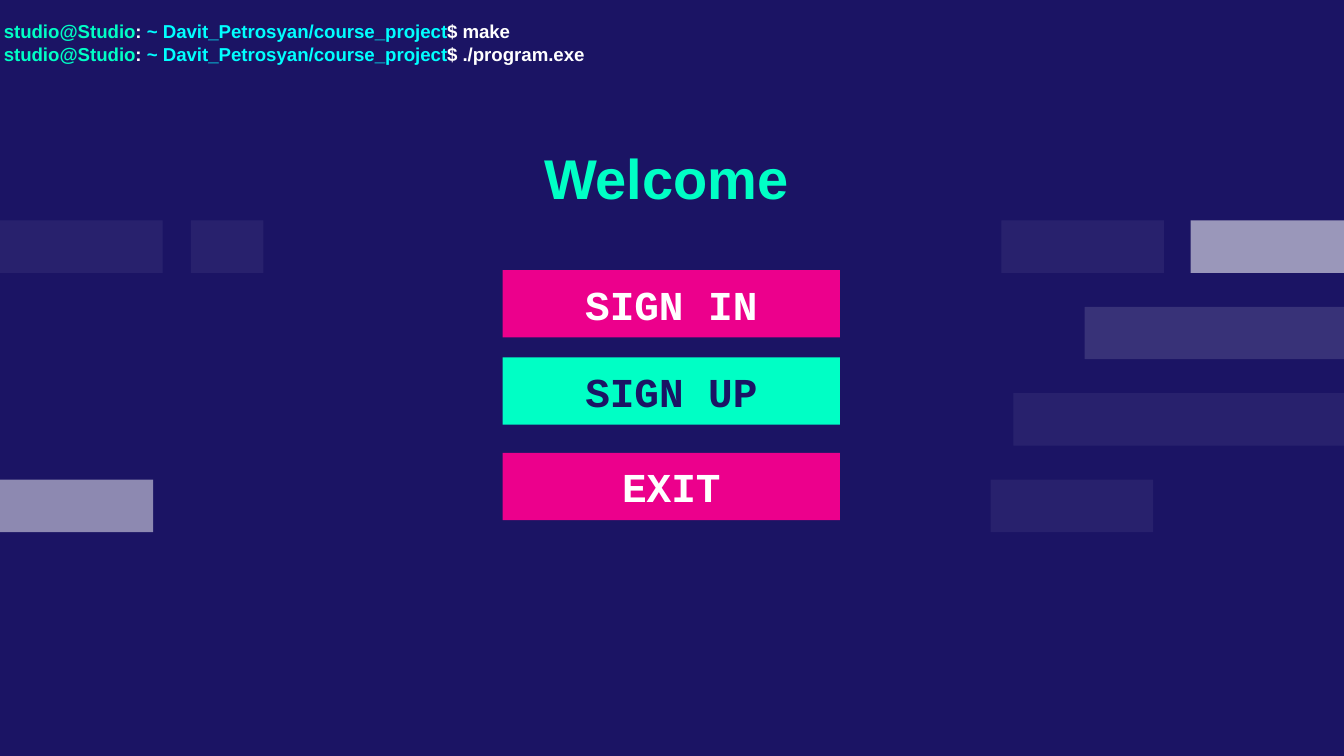
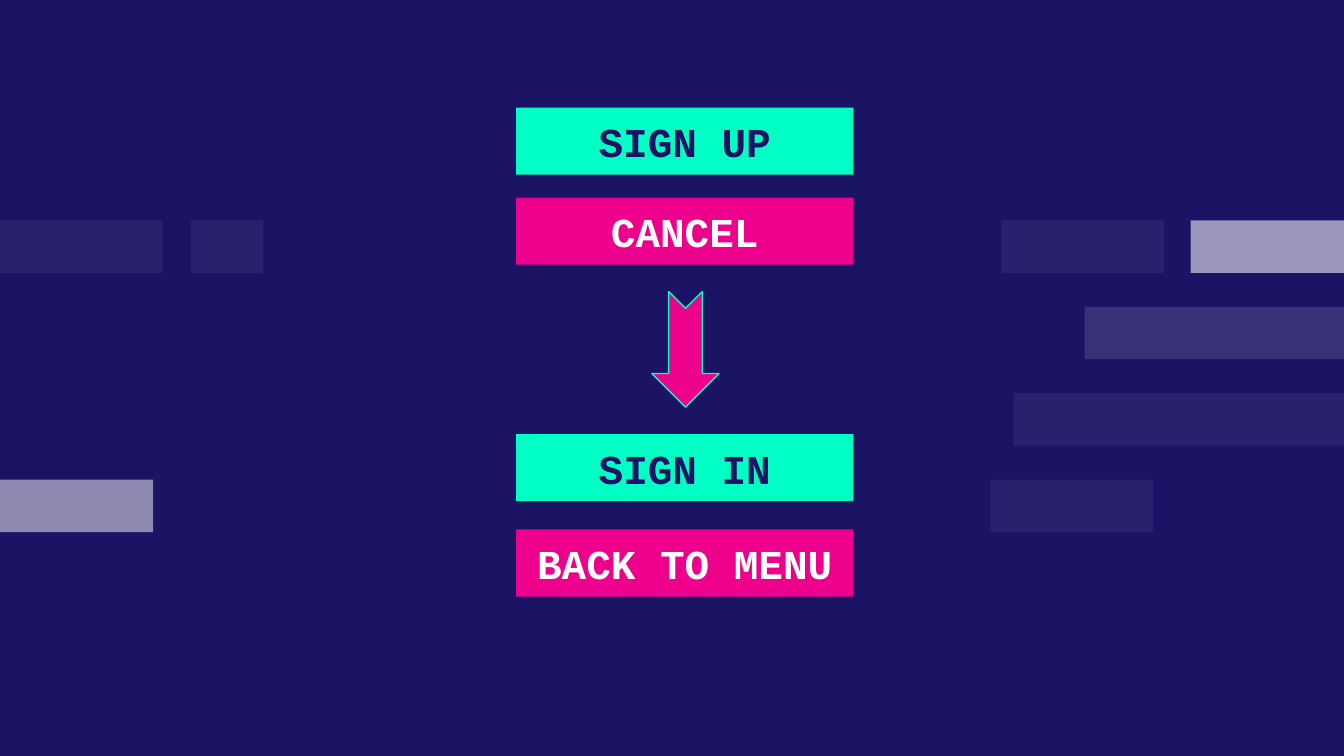
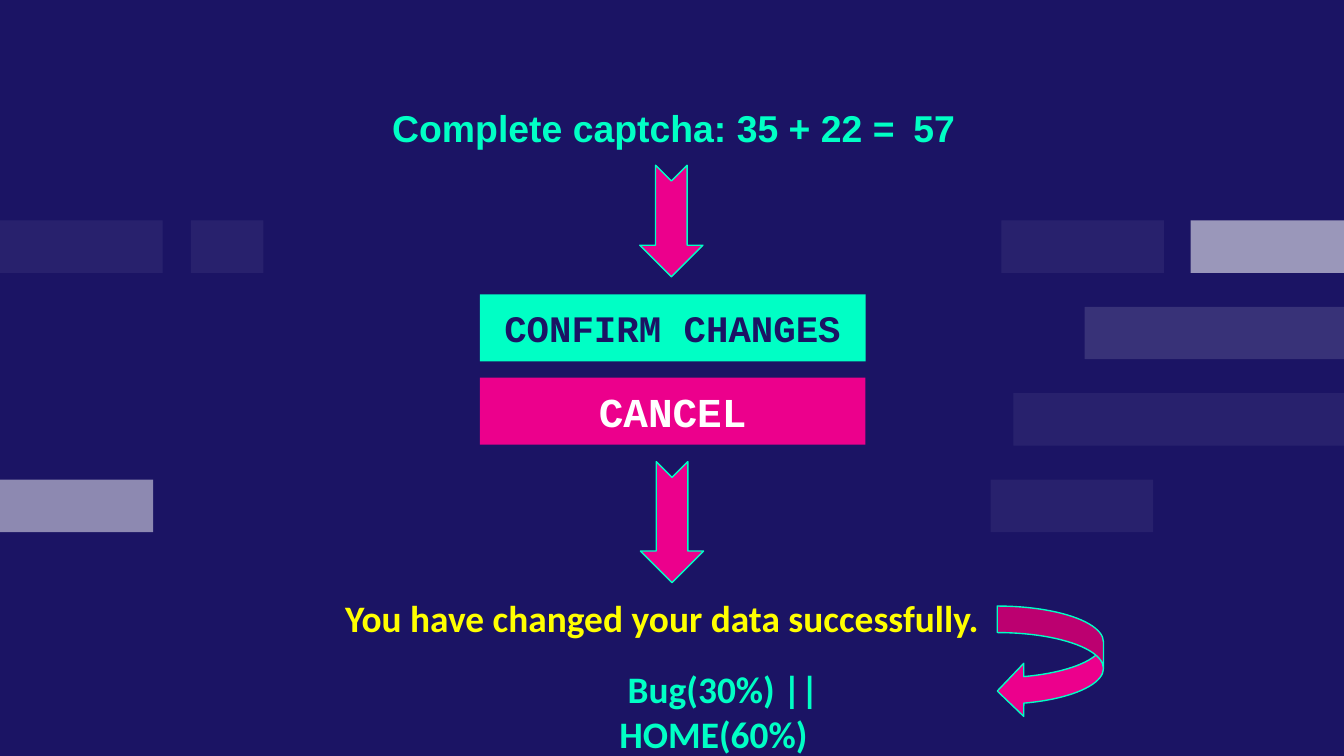
from lxml import etree
from pptx import Presentation
from pptx.dml.color import RGBColor
from pptx.enum.shapes import MSO_SHAPE as SHAPE
from pptx.enum.text import MSO_ANCHOR as ANCHOR, MSO_AUTO_SIZE as FIT, PP_ALIGN as ALIGN
from pptx.oxml.ns import qn
from pptx.util import Inches, Pt

NAVY, PINK, MINT = "1B1464", "EC008C", "00FFC5"
WHITE, CYAN, YELLOW = "FFFFFF", "00FFFF", "FFFF00"

prs = Presentation()
W, H = Inches(10), Inches(5.625)
scale = H / prs.slide_height
prs.slide_width, prs.slide_height = W, H
CELL = W / 100
INSET = round(CELL)


def grid(*cells):
    return [round(c * CELL) for c in cells]


def paint(fill, color):
    fill.solid()
    fill.fore_color.rgb = RGBColor.from_string(color)


master = prs.slide_master
paint(master.background.fill, NAVY)
for sp in master.shapes:
    sp.top, sp.height = round(sp.top * scale), round(sp.height * scale)
layout = prs.slide_layouts[5]

BAND_TOP, BAND_STEP, BAND_H = 16.4, 6.43, 3.9
bands = [
    (1, 80.7, 19.3, 13),
    (0, 74.5, 12.1, 6),
    (2, 75.4, 24.6, 6),
    (0, 88.6, 11.4, 56),
    (3, 73.7, 12.1, 6),
    (3, 0, 11.4, 50),
    (0, 0, 12.1, 6),
    (0, 14.2, 5.4, 6),
]

prompt = [("studio@Studio", MINT), (": ", WHITE),
          ("~ Davit_Petrosyan/course_project", CYAN)]

pages = [
    {
        "column": (37.4, 25.1),
        "buttons": [
            ("SIGN IN", 20.1, PINK, 22),
            ("SIGN UP", 26.6, MINT, 22),
            ("EXIT", 33.7, PINK, 22),
        ],
        "texts": [
            ((39.5, 9.7, 21, 7.1), "Arial", 30, INSET, ALIGN.LEFT,
             [[("Welcome", MINT)]]),
            ((-0.7, 0.5, 56.4, 5.4), "Arial", 10, INSET, ALIGN.LEFT,
             [prompt + [(cmd, WHITE)] for cmd in ("$ make", "$ ./program.exe")]),
        ],
        "arrows": [],
    },
    {
        "column": (38.4, 25.1),
        "buttons": [
            ("SIGN UP", 8, MINT, 22),
            ("CANCEL", 14.7, PINK, 22),
            ("SIGN IN", 32.3, MINT, 22),
            ("BACK TO MENU", 39.4, PINK, 22),
        ],
        "texts": [],
        "arrows": [(SHAPE.NOTCHED_RIGHT_ARROW, 90, (46.7, 23.5, 8.6, 5))],
    },
    {
        "column": (35.7, 28.7),
        "buttons": [
            ("CONFIRM CHANGES", 21.9, MINT, 20),
            ("CANCEL", 28.1, PINK, 22),
        ],
        "texts": [
            ((66.6, 7.8, 5.8, 5), "Arial", 20, 0, ALIGN.CENTER, [[("57", MINT)]]),
            ((28.2, 7.8, 39.6, 5), "Arial", 20, 0, ALIGN.LEFT,
             [[("Complete captcha: 35 + 22 =", MINT)]]),
            ((24.7, 43.3, 50.7, 5.4), "Calibri", 20, INSET, ALIGN.LEFT,
             [[("You have changed your data successfully.", YELLOW)]]),
            ((45.1, 48.6, 28.7, 5.4), "Calibri", 20, INSET, ALIGN.LEFT,
             [[(" Bug(30%) || HOME(60%)", MINT)]]),
        ],
        "arrows": [
            (SHAPE.NOTCHED_RIGHT_ARROW, 90, (45.8, 14.1, 8.3, 4.7)),
            (SHAPE.NOTCHED_RIGHT_ARROW, 90, (45.5, 36.5, 9, 4.7)),
            (SHAPE.CURVED_LEFT_ARROW, 0, (74.2, 45.1, 7.9, 8.3)),
        ],
    },
]

for n, page in enumerate(pages):
    slide = prs.slides.add_slide(layout)
    shapes = slide.shapes

    if n == 0:
        for row, x, w, alpha in bands:
            sp = shapes.add_shape(
                SHAPE.RECTANGLE, *grid(x, BAND_TOP + row * BAND_STEP, w, BAND_H))
            sp.shadow.inherit = False
            paint(sp.fill, WHITE)
            sp.line.fill.background()
            for clr in sp.element.iter(qn("a:srgbClr")):
                etree.SubElement(clr, qn("a:alpha"), val=str(alpha * 1000))
            layout.shapes.element.append(sp.element)

    blocks = []
    x, w = page["column"]
    for i, (label, y, color, size) in enumerate(page["buttons"]):
        box = grid(x, y, w, 5)
        if i == 0:
            sp = shapes.title
            for name, value in zip(("left", "top", "width", "height"), box):
                setattr(sp, name, value)
        else:
            sp = shapes.add_shape(SHAPE.RECTANGLE, *box)
        sp.shadow.inherit = False
        paint(sp.fill, color)
        sp.line.fill.background()
        ink = WHITE if color == PINK else NAVY
        blocks.append((sp, "Courier New", size, INSET, ALIGN.CENTER,
                       ANCHOR.MIDDLE, FIT.NONE, [[(label, ink)]]))

    for box, font, size, top, align, paras in page["texts"]:
        sp = shapes.add_textbox(*grid(*box))
        fit = FIT.SHAPE_TO_FIT_TEXT if top else FIT.NONE
        blocks.append((sp, font, size, top, align, ANCHOR.TOP, fit, paras))

    for sp, font, size, top, align, anchor, fit, paras in blocks:
        tf = sp.text_frame
        frame = {"word_wrap": True, "auto_size": fit, "vertical_anchor": anchor,
                 "margin_left": INSET, "margin_right": INSET,
                 "margin_top": top, "margin_bottom": INSET}
        for name, value in frame.items():
            setattr(tf, name, value)
        for i, runs in enumerate(paras):
            p = tf.add_paragraph() if i else tf.paragraphs[0]
            p.alignment = align
            for text, color in runs:
                r = p.add_run()
                r.text = text
                for name, value in {"name": font, "size": Pt(size), "bold": True}.items():
                    setattr(r.font, name, value)
                paint(r.font.fill, color)

    for kind, angle, box in page["arrows"]:
        sp = shapes.add_shape(kind, *grid(*box))
        sp.shadow.inherit = False
        sp.rotation = angle
        paint(sp.fill, PINK)
        paint(sp.line.fill, MINT)
        sp.line.width = Pt(0.75)

prs.save("out.pptx")
